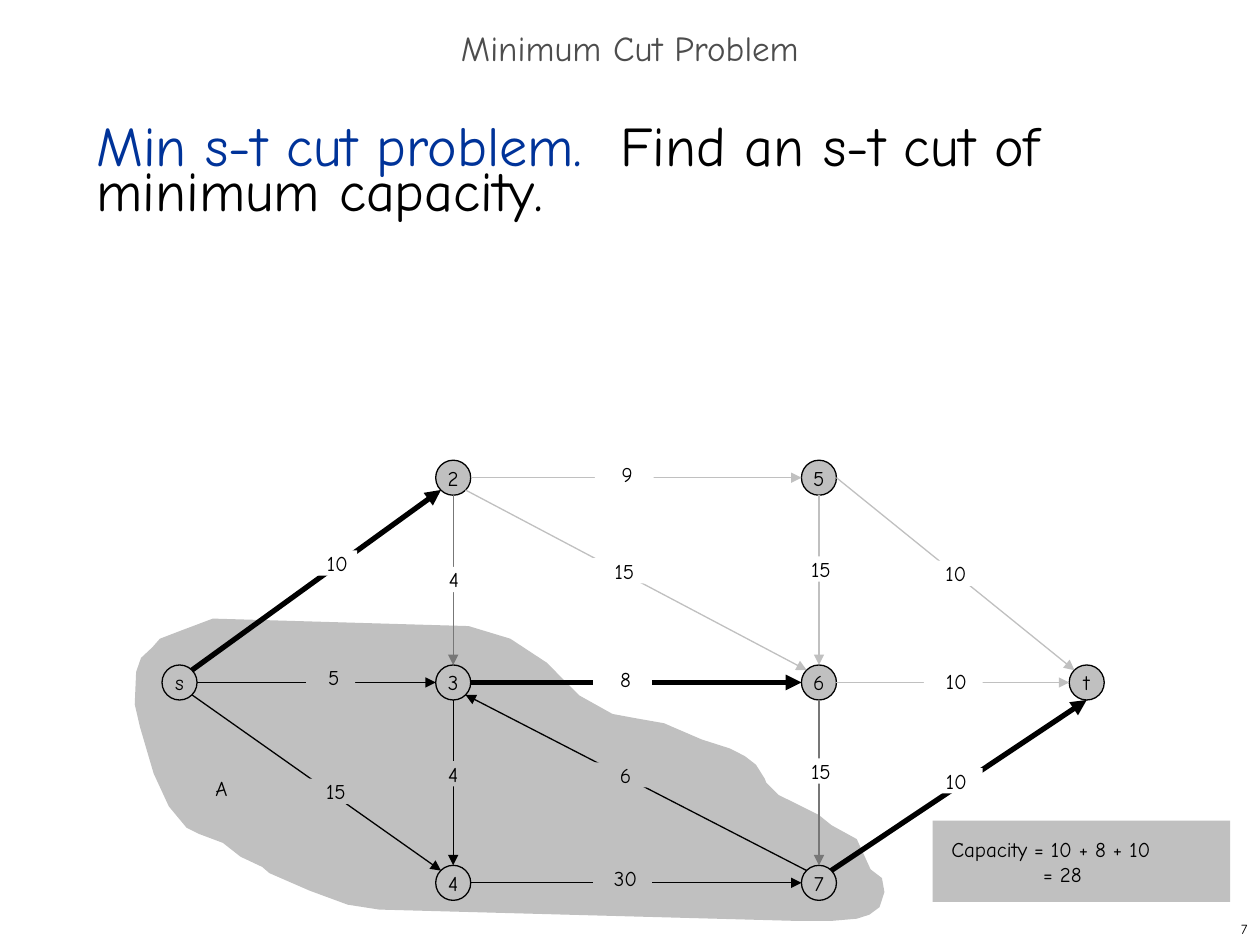
from pptx import Presentation
from pptx.dml.color import RGBColor
from pptx.enum.shapes import MSO_CONNECTOR, MSO_SHAPE
from pptx.enum.text import MSO_ANCHOR, MSO_AUTO_SIZE, PP_ALIGN
from pptx.oxml.ns import qn
from pptx.util import Pt
from lxml import etree

FONT = "Comic Neue"
BLACK, WHITE, GREY = "000000", "FFFFFF", "C0C0C0"
MID_GREY = "777777"


def colour(hex_string):
    return RGBColor.from_string(hex_string)


def format_text(shape, size, text_colour=BLACK, align=PP_ALIGN.CENTER,
                anchor=MSO_ANCHOR.MIDDLE, wrap=True):
    frame = shape.text_frame
    frame.auto_size = MSO_AUTO_SIZE.NONE
    frame.vertical_anchor = anchor
    frame.word_wrap = wrap
    for paragraph in frame.paragraphs:
        paragraph.alignment = align
        for run in paragraph.runs:
            run.font.name = FONT
            run.font.size = Pt(size)
            run.font.color.rgb = colour(text_colour)


presentation = Presentation()
presentation.slide_width, presentation.slide_height = Pt(720), Pt(540)
slide = presentation.slides.add_slide(presentation.slide_layouts[5])
shapes = slide.shapes

# Title, statement and page number
title = shapes.title
title.left, title.top, title.width, title.height = Pt(0), Pt(12), Pt(720), Pt(36)
title.text_frame.text = "Minimum Cut Problem"
title.text_frame.paragraphs[0].line_spacing = 0.7
format_text(title, 20, "4D4D4D")

statement = shapes.add_textbox(Pt(48), Pt(72), Pt(618), Pt(426))
paragraph = statement.text_frame.paragraphs[0]
paragraph.line_spacing = Pt(26)
for part in ("Min s-t cut problem.  ", "Find an s-t cut of minimum capacity."):
    paragraph.add_run().text = part
format_text(statement, 32, align=PP_ALIGN.LEFT, anchor=MSO_ANCHOR.TOP)
paragraph.runs[0].font.color.rgb = colour("003399")

page_number = shapes.add_textbox(Pt(570), Pt(522), Pt(150), Pt(18))
page_number.text_frame.text = "7"
format_text(page_number, 8, align=PP_ALIGN.RIGHT)

# Region around the set A
region_outline = [
    (437.8, 447.1), (445, 454.3), (468, 465.8), (475.2, 471.6), (489.6, 479.5),
    (497.5, 496.8), (504, 501.8), (505.4, 509.8), (502.6, 518.4), (496.8, 522.7),
    (489.6, 525), (474.5, 526.3), (457, 526.3), (216.7, 519.8), (198.7, 517),
    (177, 509), (154, 499), (149.8, 495.4), (137.5, 489.6), (127.4, 481.7),
    (113.8, 476.6), (106.6, 473), (96.5, 460.8), (87.8, 442), (80, 415.4),
    (77, 402.5), (77.8, 384), (80.6, 376), (87, 370), (91.4, 365),
    (104.4, 360), (121.7, 353.5), (267.8, 357.8), (291.6, 365), (312.5, 378.7),
    (326, 392.4), (331, 397.4), (350, 408), (363, 410.4), (379.4, 413.3),
    (401, 422.6), (417, 427.7), (425.5, 432), (432, 437), (437, 445),
]
points = [(Pt(x), Pt(y)) for x, y in region_outline]
builder = shapes.build_freeform(*points[0])
builder.add_line_segments(points[1:], close=True)
region = builder.convert_to_shape()
region.shadow.inherit = False
region.fill.solid()
region.fill.fore_color.rgb = colour(GREY)
region.line.fill.background()

# Nodes, by centre
RADIUS = 10
TOP, MIDDLE, BOTTOM = 273, 390, 504.5
nodes = {
    "s": (102.6, MIDDLE), "2": (259, TOP), "3": (259, MIDDLE), "4": (259, BOTTOM),
    "5": (468, TOP), "6": (468, MIDDLE), "7": (468, BOTTOM), "t": (621, MIDDLE),
}
for name, (x, y) in nodes.items():
    node = shapes.add_shape(MSO_SHAPE.OVAL, Pt(x - RADIUS), Pt(y - RADIUS),
                            Pt(2 * RADIUS), Pt(2 * RADIUS))
    node.shadow.inherit = False
    node.fill.solid()
    node.fill.fore_color.rgb = colour(GREY)
    node.line.color.rgb = colour(BLACK)
    node.line.width = Pt(0.75)
    node.text_frame.text = name
    format_text(node, 12, wrap=False)

# Edges, from one side of a node to a side of another
DIAGONAL = 0.7
sides = {
    "N": (0, -1), "S": (0, 1), "E": (1, 0), "W": (-1, 0),
    "NE": (DIAGONAL, -DIAGONAL), "NW": (-DIAGONAL, -DIAGONAL),
    "SE": (DIAGONAL, DIAGONAL), "SW": (-DIAGONAL, DIAGONAL),
}
THIN, THICK = 0.75, 3
edges = [
    ("s", "NE", "2", "SW", BLACK, THICK), ("s", "E", "3", "W", BLACK, THIN),
    ("s", "SE", "4", "NW", BLACK, THIN), ("3", "E", "6", "W", BLACK, THICK),
    ("7", "NW", "3", "SE", BLACK, THIN), ("3", "S", "4", "N", BLACK, THIN),
    ("2", "E", "5", "W", GREY, THIN), ("4", "E", "7", "W", BLACK, THIN),
    ("2", "S", "3", "N", MID_GREY, THIN), ("6", "S", "7", "N", MID_GREY, THIN),
    ("5", "S", "6", "N", GREY, THIN), ("2", "SE", "6", "NW", GREY, THIN),
    ("5", "E", "t", "NW", GREY, THIN), ("6", "E", "t", "W", GREY, THIN),
    ("7", "NE", "t", "S", BLACK, THICK),
]
for start, start_side, end, end_side, edge_colour, width in edges:
    ends = []
    for name, side in ((start, start_side), (end, end_side)):
        for centre, direction in zip(nodes[name], sides[side]):
            ends.append(Pt(centre + RADIUS * direction))
    edge = shapes.add_connector(MSO_CONNECTOR.STRAIGHT, *ends)
    edge.line.color.rgb = colour(edge_colour)
    edge.line.width = Pt(width)
    etree.SubElement(edge.line._get_or_add_ln(), qn("a:tailEnd"), type="triangle")
    etree.SubElement(edge._element.spPr, qn("a:effectLst"))

# Labels: left, top, width, text, fill, left inset
LABEL_WIDTH, LABEL_HEIGHT = 33.5, 14.4
NEAR, FAR = 3.5, 11
labels = [
    (173.5, 445, LABEL_WIDTH, "15", GREY, NEAR),
    (175, 380, 28, "5", GREY, NEAR),
    (339, 494.6, LABEL_WIDTH, "30", GREY, NEAR),
    (450.7, 433.4, LABEL_WIDTH, "15", WHITE, NEAR),
    (170.6, 314.6, LABEL_WIDTH, "10", WHITE, FAR),
    (339, 381, LABEL_WIDTH, "8", WHITE, NEAR),
    (338.4, 319, LABEL_WIDTH, "15", WHITE, NEAR),
    (340, 264, LABEL_WIDTH, "9", WHITE, NEAR),
    (339, 435.6, LABEL_WIDTH, "6", GREY, NEAR),
    (528, 439, LABEL_WIDTH, "10", WHITE, NEAR),
    (528, 382, LABEL_WIDTH, "10", WHITE, NEAR),
    (524, 320.4, LABEL_WIDTH, "10", WHITE, FAR),
    (450.7, 318, LABEL_WIDTH, "15", WHITE, NEAR),
    (241, 324, LABEL_WIDTH, "4", WHITE, NEAR),
    (240.5, 435, LABEL_WIDTH, "4", GREY, NEAR),
    (104.4, 443, LABEL_WIDTH, "A", GREY, FAR),
]
for left, top, width, text, fill, inset in labels:
    label = shapes.add_textbox(Pt(left), Pt(top), Pt(width), Pt(LABEL_HEIGHT))
    label.fill.solid()
    label.fill.fore_color.rgb = colour(fill)
    frame = label.text_frame
    frame.margin_left = Pt(inset)
    frame.margin_right = frame.margin_top = frame.margin_bottom = Pt(0)
    frame.text = text
    format_text(label, 12, anchor=MSO_ANCHOR.TOP)

# Capacity of the cut, with the equals signs aligned
capacity = shapes.add_textbox(Pt(533), Pt(469), Pt(170), Pt(46.5))
capacity.fill.solid()
capacity.fill.fore_color.rgb = colour(GREY)
capacity.text_frame.text = "Capacity = 10 + 8 + 10\n= 28"
for paragraph, indent in zip(capacity.text_frame.paragraphs, (3.5, 56)):
    paragraph._p.get_or_add_pPr().set("marL", str(Pt(indent)))
format_text(capacity, 12, align=PP_ALIGN.LEFT)

presentation.save("out.pptx")
